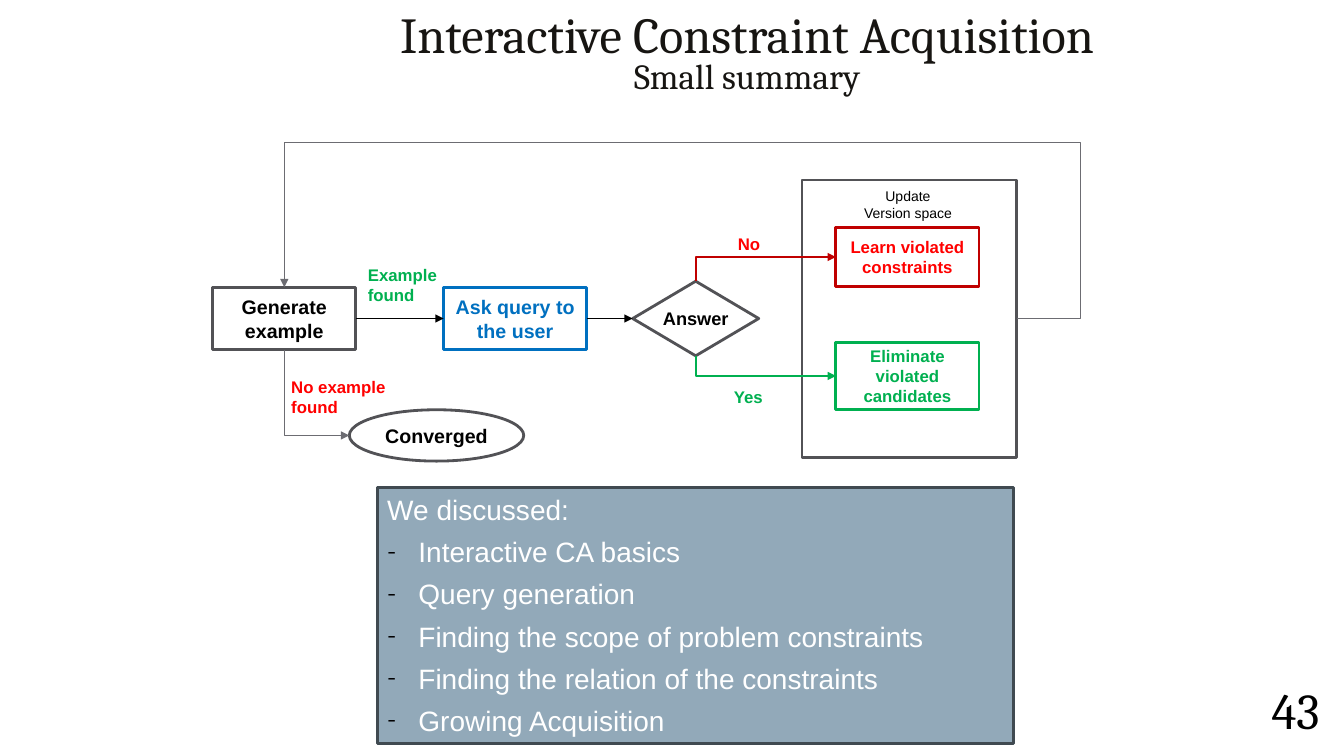
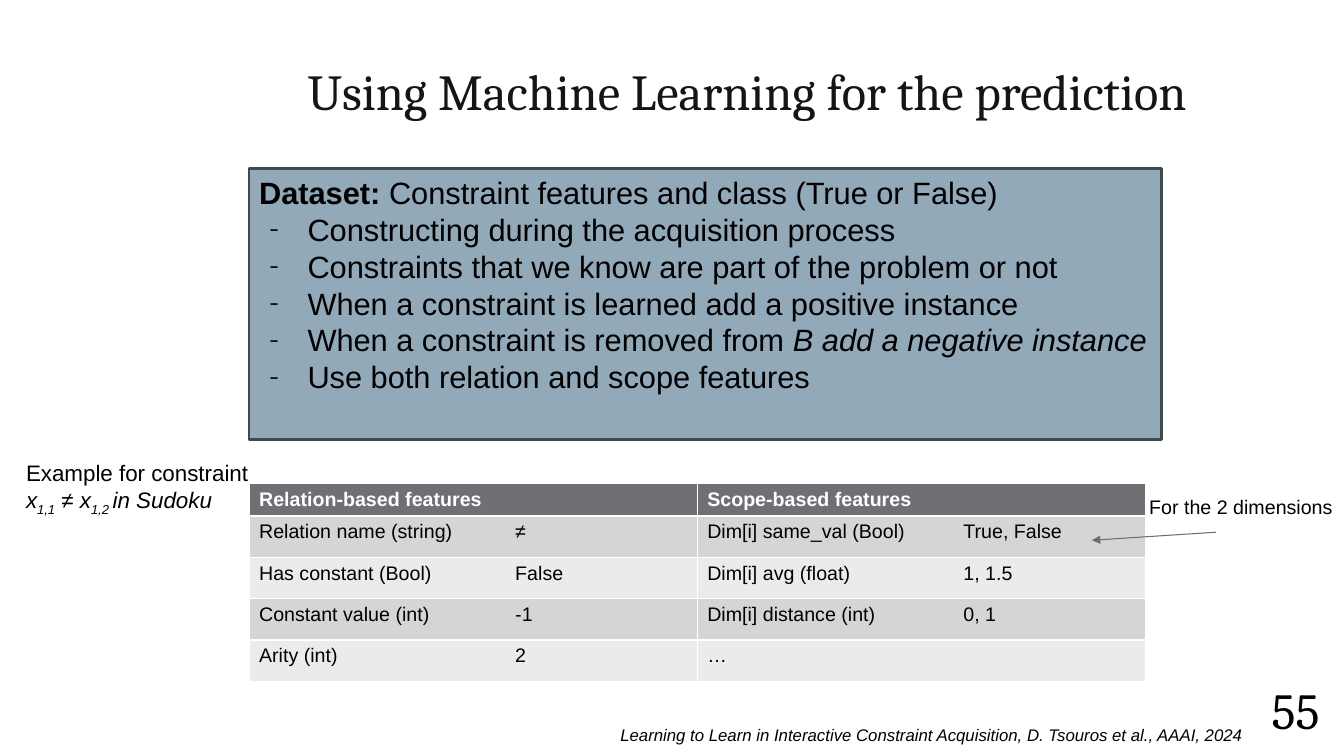
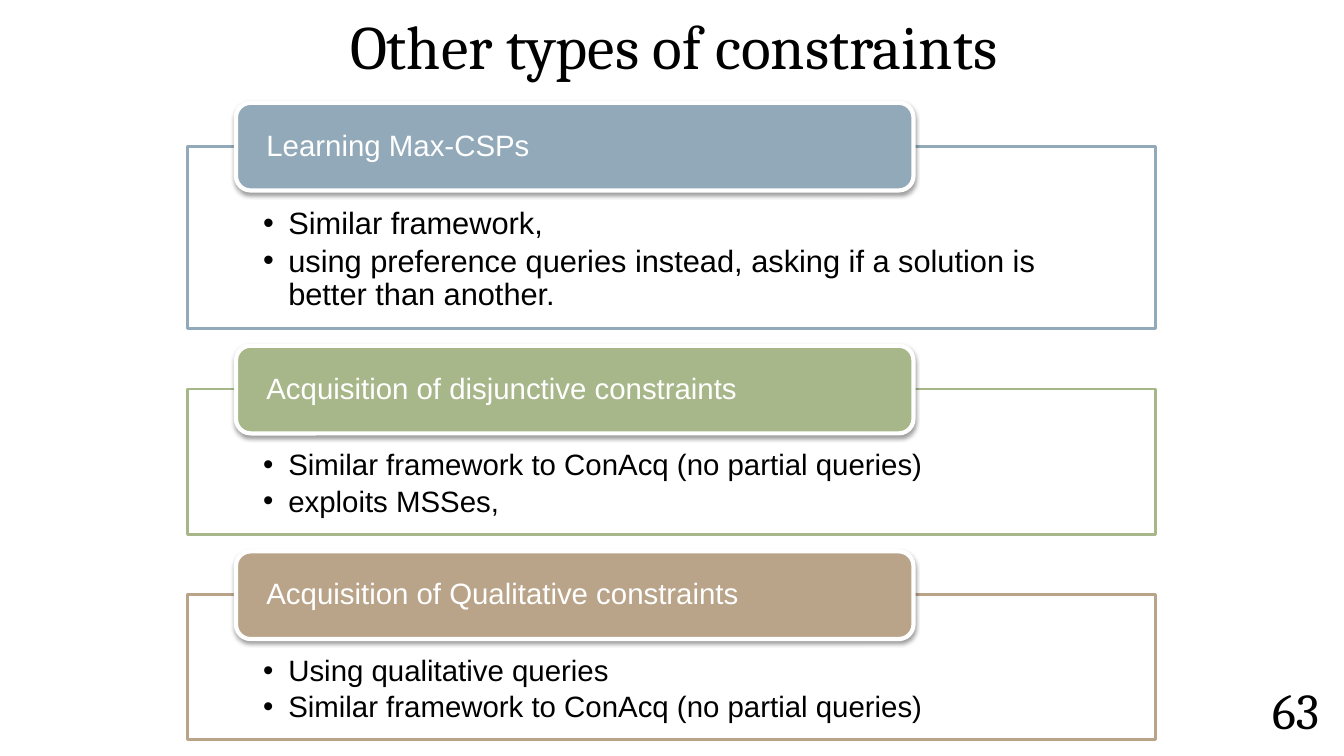
import pptx
import pptx.util
from lxml import etree
from pptx.dml.color import RGBColor
from pptx.enum.shapes import MSO_CONNECTOR, MSO_SHAPE
from pptx.enum.text import MSO_ANCHOR, MSO_AUTO_SIZE, PP_ALIGN
from pptx.oxml.ns import qn
from pptx.util import Inches, Pt

# Shared style
BLACK, WHITE = RGBColor(0, 0, 0), RGBColor(255, 255, 255)
INK, FRAME, ARROW = RGBColor(0x17, 0x15, 0x12), RGBColor(0x52, 0x52, 0x56), RGBColor(0x6C, 0x6C, 0x72)
RED, DARK_RED = RGBColor(0xFF, 0, 0), RGBColor(0xC0, 0, 0)
GREEN, BLUE = RGBColor(0, 0xB0, 0x50), RGBColor(0, 0x70, 0xC0)
SLATE, SLATE_EDGE = RGBColor(0x92, 0xA9, 0xB9), RGBColor(0x40, 0x4A, 0x51)
SAGE, SAND = RGBColor(0xA7, 0xB7, 0x89), RGBColor(0xB9, 0xA4, 0x89)
HEADER, BAND_DARK, BAND_LIGHT = RGBColor(0x6F, 0x6F, 0x74), RGBColor(0xD5, 0xD5, 0xD6), RGBColor(0xEB, 0xEB, 0xEB)
BODY_FONT, TITLE_FONT = "Arial", "Cambria"
TITLE_AREA = (2.47, 0.01, 9.88, 1.24)
NUMBER_AREA = (12.35, 6.75, 1, 0.65)
TITLE_ONLY, TITLE_AND_BODY = 5, 1

# Slide 1 content: name -> shape, centre x, centre y, width, height, line, text, size, text colour
FLOW_Y = 3.16
FLOW = {
    "frame": (MSO_SHAPE.RECTANGLE, 9.02, FLOW_Y, 2.13, 2.75, FRAME, "", 10, BLACK),
    "generate": (MSO_SHAPE.RECTANGLE, 2.82, FLOW_Y, 1.42, 0.62, FRAME, "Generate example", 14, BLACK),
    "ask": (MSO_SHAPE.RECTANGLE, 5.11, FLOW_Y, 1.42, 0.62, BLUE, "Ask query to the user", 14, BLUE),
    "answer": (MSO_SHAPE.DIAMOND, 6.9, FLOW_Y, 1.25, 0.74, FRAME, "Answer", 13, BLACK),
    "learn": (MSO_SHAPE.RECTANGLE, 9, 2.55, 1.42, 0.59, DARK_RED, "Learn violated constraints", 12, RED),
    "eliminate": (MSO_SHAPE.RECTANGLE, 9, 3.73, 1.42, 0.67, GREEN, "Eliminate violated candidates", 12, GREEN),
    "converged": (MSO_SHAPE.OVAL, 4.33, 4.32, 1.73, 0.51, FRAME, "Converged", 14, BLACK),
}
FLOW_LABELS = [
    ((7.22, 2.27, 0.43, 0.3), ["No"], RED),
    ((7.18, 3.79, 0.5, 0.3), ["Yes"], GREEN),
    ((2.79, 3.69, 1.15, 0.5), ["No example", "found"], RED),
    ((3.55, 2.58, 0.89, 0.5), ["Example", "found"], GREEN),
]
DISCUSSED = ["We discussed:", "Interactive CA basics", "Query generation",
             "Finding the scope of problem constraints",
             "Finding the relation of the constraints", "Growing Acquisition"]

# Slide 2 content: a paragraph is a string or a list of (text, marks): b bold, i italic, s subscript
DATASET = [
    [("Dataset: ", "b"), ("Constraint features and class (True or False)", "")],
    "Constructing during the acquisition process",
    "Constraints that we know are part of the problem or not",
    "When a constraint is learned add a positive instance",
    [("When a constraint is removed from ", ""), ("B add a negative instance", "i")],
    "Use both relation and scope features",
]
FEATURES = [
    ("Relation-based features", "Scope-based features"),
    ([("Relation name (string)\t", ""), ("≠", "i")], "Dim[i] same_val (Bool)\tTrue, False"),
    ("Has constant (Bool)\tFalse", "Dim[i] avg (float)\t1, 1.5"),
    ("Constant value (int)\t-1", "Dim[i] distance (int)\t0, 1"),
    ("Arity (int)\t2", "…"),
]
EXAMPLE = ["Example for constraint",
           [("x", "i"), ("1,1", "is"), (" ≠ x", "i"), ("1,2 ", "is"), ("in Sudoku", "i")]]
CITATION = "Learning to Learn in Interactive Constraint Acquisition, D. Tsouros et al., AAAI, 2024"

# Slide 3 content: heading, colour, card height, list size, items
CARDS = [
    ("Learning Max-CSPs", SLATE, 1.81, 22,
     ["Similar framework,",
      "using preference queries instead, asking if a solution is better than another."]),
    ("Acquisition of disjunctive constraints", SAGE, 1.44, 21,
     ["Similar framework to ConAcq (no partial queries)", "exploits MSSes,"]),
    ("Acquisition of Qualitative constraints", SAND, 1.44, 21,
     ["Using qualitative queries", "Similar framework to ConAcq (no partial queries)"]),
]


def add_xml(parent, tag, **attributes):
    return etree.SubElement(parent, qn(tag), attributes)


def place(shape, area):
    shape.left, shape.top, shape.width, shape.height = map(Inches, area)


def set_bullet(paragraph, character, margin, hang, font=BODY_FONT):
    properties = paragraph._p.get_or_add_pPr()
    properties.set("marL", str(Inches(margin)))
    properties.set("indent", str(-Inches(hang)))
    if not character:
        add_xml(properties, "a:buNone")
        return
    add_xml(add_xml(properties, "a:buClr"), "a:srgbClr", val=str(BLACK))
    add_xml(properties, "a:buFont", typeface=font)
    add_xml(properties, "a:buChar", char=character)


def write(text_frame, paragraphs, size, color=BLACK, font=BODY_FONT, bold=False, italic=False,
          align=PP_ALIGN.LEFT, anchor=MSO_ANCHOR.TOP, wrap=True, insets=(0.1, 0.05, 0.1, 0.05),
          spacing=1.0, after=0):
    text_frame.auto_size = MSO_AUTO_SIZE.NONE
    text_frame.word_wrap = wrap
    text_frame.vertical_anchor = anchor
    (text_frame.margin_left, text_frame.margin_top,
     text_frame.margin_right, text_frame.margin_bottom) = map(Inches, insets)
    for index, content in enumerate(paragraphs):
        paragraph = text_frame.add_paragraph() if index else text_frame.paragraphs[0]
        paragraph.alignment = align
        paragraph.line_spacing = spacing
        paragraph.space_before, paragraph.space_after = Pt(0), Pt(after)
        for text, marks in [(content, "")] if isinstance(content, str) else content:
            run = paragraph.add_run()
            run.text = text
            run.font.name, run.font.size = font, Pt(size)
            run.font.color.rgb = color
            run.font.bold = bold or "b" in marks
            run.font.italic = italic or "i" in marks
            if "s" in marks:
                run._r.get_or_add_rPr().set("baseline", "-25000")


def paint(shape, fill, line, width=2):
    if fill is None:
        shape.fill.background()
    else:
        shape.fill.solid()
        shape.fill.fore_color.rgb = fill
    shape.line.color.rgb = line
    shape.line.width = Pt(width)


def add_panel(slide, kind, area, fill, line, width=2):
    shape = slide.shapes.add_shape(kind, *map(Inches, area))
    shape.shadow.inherit = False
    paint(shape, fill, line, width)
    return shape


def add_label(slide, area, paragraphs, size, **style):
    box = slide.shapes.add_textbox(*map(Inches, area))
    write(box.text_frame, paragraphs, size, **style)


def add_slide(presentation, layout, number, title, area=TITLE_AREA, size=36, color=INK, spacing=0.9):
    slide = presentation.slides.add_slide(presentation.slide_layouts[layout])
    place(slide.shapes.title, area)
    write(slide.shapes.title.text_frame, title, size, color, TITLE_FONT,
          align=PP_ALIGN.CENTER, anchor=MSO_ANCHOR.BOTTOM, spacing=spacing)
    add_label(slide, NUMBER_AREA, [number], 36, font=TITLE_FONT, align=PP_ALIGN.CENTER,
              anchor=MSO_ANCHOR.MIDDLE, insets=(0.05,) * 4, spacing=0.9)
    return slide


def fill_list_panel(slide, area, paragraphs, size, color, margin, hang, **style):
    """Body placeholder as a slate panel: an opening line, then dashes."""
    body = slide.placeholders[1]
    place(body, area)
    paint(body, SLATE, SLATE_EDGE)
    write(body.text_frame, paragraphs, size, color, **style)
    first, *items = body.text_frame.paragraphs
    set_bullet(first, None, 0, 0)
    for paragraph in items:
        set_bullet(paragraph, "-", margin, hang, TITLE_FONT)


def add_arrow(slide, kind, color, width, begin=(0, 0), end=(0, 0)):
    connector = slide.shapes.add_connector(kind, *map(Inches, (*begin, *end)))
    connector.line.color.rgb = color
    connector.line.width = Pt(width)
    add_xml(connector.line._get_or_add_ln(), "a:tailEnd", type="triangle")
    add_xml(connector._element.spPr, "a:effectLst")
    return connector


def join(connector, begin, begin_site, end, end_site):
    connector.begin_connect(begin, begin_site)
    connector.end_connect(end, end_site)


def bend(connector, preset, box, rotation, flips, adjustments=()):
    """Give an elbow its preset, frame (in EMU), turn and bend positions."""
    properties = connector._element.spPr
    connector.left, connector.top, connector.width, connector.height = map(int, box)
    connector.rotation = rotation
    frame = properties.find(qn("a:xfrm"))
    for axis in "HV":
        frame.set("flip" + axis, "1" if axis in flips else "0")
    geometry = properties.find(qn("a:prstGeom"))
    geometry.set("prst", preset)
    for index, share in enumerate(adjustments, 1):
        add_xml(geometry.find(qn("a:avLst")), "a:gd", name=f"adj{index}", fmla=f"val {round(share * 100000)}")


def add_branch(slide, begin, begin_site, end, end_site, color, width):
    """Elbow leaving the top (0) or bottom (2) of begin and entering the left of end."""
    connector = add_arrow(slide, MSO_CONNECTOR.ELBOW, color, width)
    join(connector, begin, begin_site, end, end_site)
    upward = begin_site == 0
    x1, x2 = begin.left + begin.width / 2, end.left
    y1, y2 = begin.top + (0 if upward else begin.height), end.top + end.height / 2
    run, rise = x2 - x1, abs(y2 - y1)
    box = ((x1 + x2 - rise) / 2, (y1 + y2 - run) / 2, rise, run)
    bend(connector, "bentConnector2", box, 90 if upward else 270, "HV" if upward else "H")


def add_loop(slide, begin, end, right_x, top_y):
    """Elbow from the right of begin, over the top, down into the top of end."""
    connector = add_arrow(slide, MSO_CONNECTOR.ELBOW, ARROW, 0.75)
    join(connector, begin, 3, end, 0)
    x1, y1 = begin.left + begin.width, begin.top + begin.height / 2
    x2, y2 = end.left + end.width / 2, end.top
    width, height = x1 - x2, y1 - y2
    bend(connector, "bentConnector4", (x2, y2, width, height), 0, "HV",
         ((x1 - Inches(right_x)) / width, (y1 - Inches(top_y)) / height))


def build_summary(presentation):
    slide = add_slide(presentation, TITLE_AND_BODY, "43",
                      ["Interactive Constraint Acquisition", "Small summary"],
                      (2.47, 0.01, 9.88, 1), spacing=0.8)
    subtitle = slide.shapes.title.text_frame.paragraphs[1]
    subtitle.runs[0].font.size = Pt(25.2)

    # Flow chart
    nodes = {}
    for name, (kind, x, y, width, height, line, text, size, color) in FLOW.items():
        node = add_panel(slide, kind, (x - width / 2, y - height / 2, width, height), None, line)
        if text:
            write(node.text_frame, [text], size, color, bold=True, align=PP_ALIGN.CENTER,
                  anchor=MSO_ANCHOR.MIDDLE, wrap=kind != MSO_SHAPE.DIAMOND)
        nodes[name] = node
    for begin, end in (("generate", "ask"), ("ask", "answer")):
        join(add_arrow(slide, MSO_CONNECTOR.STRAIGHT, BLACK, 0.75), nodes[begin], 3, nodes[end], 1)
    add_branch(slide, nodes["answer"], 0, nodes["learn"], 1, DARK_RED, 1.25)
    add_branch(slide, nodes["answer"], 2, nodes["eliminate"], 1, GREEN, 1.25)
    # An ellipse has eight sites; its left one is 2
    add_branch(slide, nodes["generate"], 2, nodes["converged"], 2, ARROW, 0.75)
    add_loop(slide, nodes["frame"], nodes["generate"], 10.72, 1.41)

    add_label(slide, (8.46, 1.81, 1.09, 0.44), ["Update", "Version space"], 10,
              align=PP_ALIGN.CENTER, wrap=False)
    for area, lines, color in FLOW_LABELS:
        add_label(slide, area, lines, 12, color=color, bold=True, wrap=False)

    fill_list_panel(slide, (3.74, 4.84, 6.31, 2.54), DISCUSSED, 20, WHITE, 0.31, 0.31, after=6)


def build_dataset(presentation):
    slide = add_slide(presentation, TITLE_AND_BODY, "55", ["Using Machine Learning for the prediction"])
    fill_list_panel(slide, (2.47, 1.67, 9.05, 2.69), DATASET, 22, BLACK, 0.48, 0.38,
                    align=PP_ALIGN.JUSTIFY)

    # Feature table: values line up on a tab stop
    header_height, row_height = 0.32, 0.41
    table_height = header_height + row_height * (len(FEATURES) - 1)
    table = slide.shapes.add_table(len(FEATURES), 2, *map(Inches, (2.47, 4.8, 8.89, table_height))).table
    for row_index, row in enumerate(FEATURES):
        is_header = row_index == 0
        table.rows[row_index].height = Inches(header_height if is_header else row_height)
        for column_index, content in enumerate(row):
            cell = table.cell(row_index, column_index)
            cell.fill.solid()
            cell.fill.fore_color.rgb = HEADER if is_header else BAND_DARK if row_index % 2 else BAND_LIGHT
            properties = cell.text_frame.paragraphs[0]._p.get_or_add_pPr()
            add_xml(add_xml(properties, "a:tabLst"), "a:tab", pos=str(Inches(2.54)), algn="l")
            write(cell.text_frame, [content], 14, WHITE if is_header else BLACK, bold=is_header)

    # Notes around the table
    add_label(slide, (0.16, 4.51, 2.44, 0.64), EXAMPLE, 16, wrap=False)
    add_label(slide, (11.3, 4.86, 2.03, 0.57), ["For the 2 dimensions"], 14, wrap=False)
    add_arrow(slide, MSO_CONNECTOR.STRAIGHT, ARROW, 0.75, (12.06, 5.28), (10.83, 5.36))
    add_label(slide, (2.99, 7.14, 9.44, 0.3), [CITATION], 12, italic=True, align=PP_ALIGN.RIGHT)


def add_soft_shadow(shape):
    effects = shape._element.spPr.find(qn("a:effectLst"))
    shadow = add_xml(effects, "a:outerShdw", blurRad=str(Pt(3.1)), dist=str(Pt(1.6)),
                     dir="5400000", rotWithShape="0")
    add_xml(add_xml(shadow, "a:srgbClr", val=str(BLACK)), "a:alpha", val="38000")


def build_other_types(presentation):
    slide = add_slide(presentation, TITLE_ONLY, "63", ["Other types of constraints"],
                      (2.66, 0.01, 8.05, 0.86), 44, BLACK)
    left, top, width, gap = 1.86, 1.45, 9.6, 0.6
    for heading, color, height, size, items in CARDS:
        card = add_panel(slide, MSO_SHAPE.RECTANGLE, (left, top, width, height), WHITE, color)
        write(card.text_frame, items, size, insets=(0.75, 0.61, 0.75, 0.16),
              spacing=0.9, after=size * 0.15)
        for paragraph in card.text_frame.paragraphs:
            set_bullet(paragraph, "•", 0.25, 0.25)
        tab = add_panel(slide, MSO_SHAPE.ROUNDED_RECTANGLE,
                        (left + width * 0.05, top - 0.43, width * 0.7, 0.87), color, WHITE, 3)
        add_soft_shadow(tab)
        write(tab.text_frame, [heading], 21, WHITE, anchor=MSO_ANCHOR.MIDDLE,
              insets=(0.26, 0, 0.26, 0), spacing=0.9)
        top += height + gap


def main():
    presentation = pptx.Presentation()
    presentation.slide_width, presentation.slide_height = Inches(13.33), Inches(7.5)
    build_summary(presentation)
    build_dataset(presentation)
    build_other_types(presentation)
    presentation.save("out.pptx")


if __name__ == "__main__":
    main()
